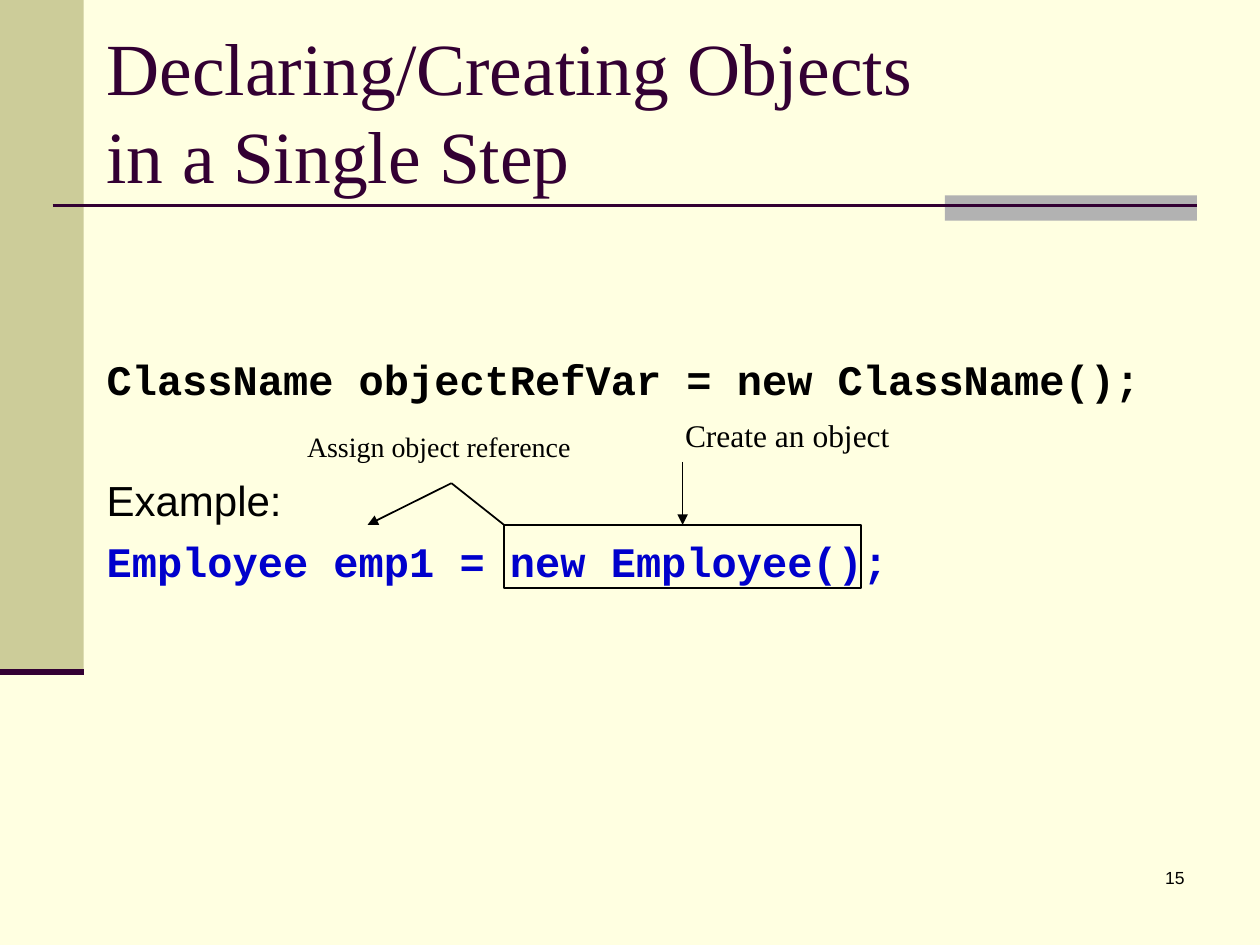
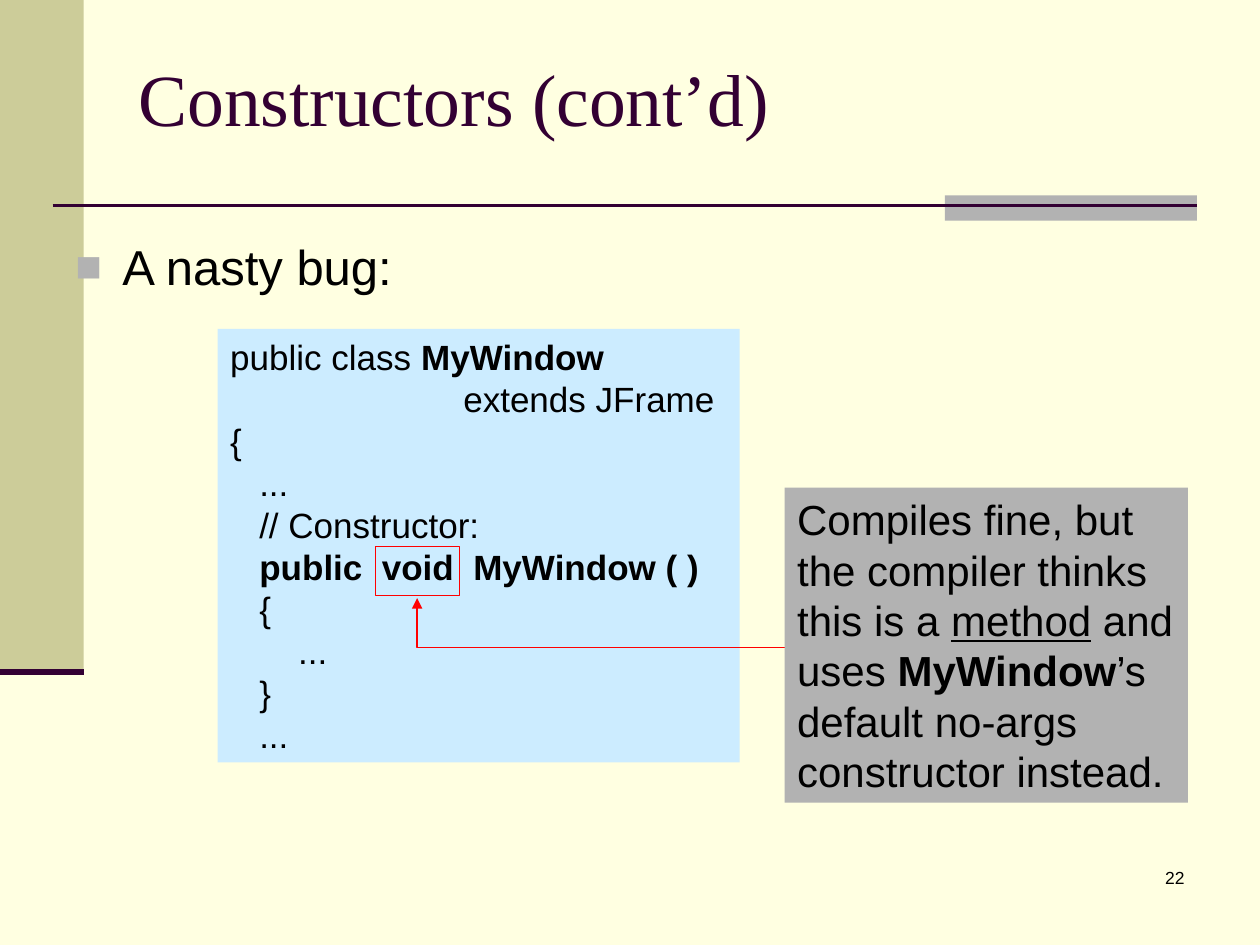
import pptx
import pptx.dml.color
import pptx.enum.shapes
import pptx.enum.text
import pptx.oxml
import pptx.oxml.ns
import pptx.util
from lxml import etree

Cm, Pt = pptx.util.Cm, pptx.util.Pt
SHAPE = pptx.enum.shapes.MSO_SHAPE
ALIGN = pptx.enum.text.PP_ALIGN
ANCHOR = pptx.enum.text.MSO_ANCHOR
qn = pptx.oxml.ns.qn

SANS, SERIF, MONO = "Arial", "Times New Roman", "Courier New"
CREAM, KHAKI, GREY, PLUM = "FFFFE1", "CCCC99", "B2B2B2", "330033"
BLACK, BLUE, RED, SKY = "000000", "0000CC", "FF0000", "CCECFF"
LEADING = 1.2
HANG = 0.95


def rgb(value):
    return pptx.dml.color.RGBColor.from_string(value)


class Deck:
    """Holds the shared style and the slide being built."""

    def __init__(self):
        self.prs = pptx.Presentation()
        self.prs.slide_width, self.prs.slide_height = Cm(25.4), Cm(19.05)

    def slide(self, title, title_box, number):
        self.s = self.prs.slides.add_slide(self.prs.slide_layouts[6])
        fill = self.s.background.fill
        fill.solid()
        fill.fore_color.rgb = rgb(CREAM)
        # Side band, title rule and accent
        self.rect(0, 0, 1.69, 13.55, fill=KHAKI)
        self.rect(19.05, 3.94, 5.08, 0.51, fill=GREY)
        self.line((1.06, 4.14), (24.13, 4.14), PLUM, 1.5)
        self.line((0, 13.55), (1.69, 13.55), PLUM, 3.5)
        # Slide number and title
        tf = self.box(18.85, 17.36, 5.28, 1.27)
        self.para(tf, str(number), 10, align=ALIGN.RIGHT)
        tf = self.box(*title_box)
        tf.vertical_anchor = ANCHOR.MIDDLE
        self.para(tf, title, 42, SERIF, PLUM)

    def outline(self, sp, color, width, arrow=False):
        sp.line.color.rgb = rgb(color)
        sp.line.width = Pt(width)
        if arrow:
            ln = sp._element.spPr.find(qn("a:ln"))
            etree.SubElement(ln, qn("a:tailEnd"), type="triangle")

    def rect(self, x, y, w, h, fill=None, line=None, width=1):
        sp = self.s.shapes.add_shape(SHAPE.RECTANGLE, Cm(x), Cm(y), Cm(w), Cm(h))
        sp.shadow.inherit = False
        if fill:
            sp.fill.solid()
            sp.fill.fore_color.rgb = rgb(fill)
        else:
            sp.fill.background()
        if line:
            self.outline(sp, line, width)
        else:
            sp.line.fill.background()
        tf = sp.text_frame
        tf.word_wrap = True
        tf.vertical_anchor = ANCHOR.TOP
        return tf

    def line(self, start, end, color=BLACK, width=1, arrow=False):
        straight = pptx.enum.shapes.MSO_CONNECTOR.STRAIGHT
        ends = [Cm(v) for v in (*start, *end)]
        sp = self.s.shapes.add_connector(straight, *ends)
        self.outline(sp, color, width, arrow)
        etree.SubElement(sp._element.spPr, qn("a:effectLst"))

    def bent_arrow(self, points, color, width):
        start, *rest = [(Cm(x), Cm(y)) for x, y in points]
        builder = self.s.shapes.build_freeform(*start)
        builder.add_line_segments(rest, close=False)
        sp = builder.convert_to_shape()
        sp.shadow.inherit = False
        sp.fill.background()
        self.outline(sp, color, width, arrow=True)

    def box(self, x, y, w, h):
        tf = self.s.shapes.add_textbox(Cm(x), Cm(y), Cm(w), Cm(h)).text_frame
        tf.word_wrap = True
        return tf

    def para(self, tf, text, size, font=SANS, color=BLACK, bold=False,
             align=ALIGN.LEFT, before=0, leading=None, bullet=None):
        """Add a paragraph; text is a string or a list of (text, marks)."""
        p = tf.paragraphs[0]
        if p.runs:
            p = tf.add_paragraph()
        if bullet:
            self.bullet(p, bullet)
        p.alignment = align
        p.line_spacing = Pt(leading or size * LEADING)
        if before:
            p.space_before = Pt(before)
        if isinstance(text, str):
            p.text = text
            marks = [""] * len(p.runs)
        else:
            for part, mark in text:
                p.add_run().text = part
            marks = [mark for part, mark in text]
        for r, mark in zip(p.runs, marks):
            r.font.name, r.font.size = font, Pt(size)
            r.font.color.rgb = rgb(color)
            r.font.bold = bold or "b" in mark
            r.font.underline = "u" in mark

    def bullet(self, p, char):
        pPr = p._p.get_or_add_pPr()
        pPr.set("marL", str(Cm(HANG)))
        pPr.set("indent", str(-Cm(HANG)))
        color = etree.SubElement(pPr, qn("a:buClr"))
        etree.SubElement(color, qn("a:srgbClr"), val=GREY)
        etree.SubElement(pPr, qn("a:buSzPct"), val="90000")
        etree.SubElement(pPr, qn("a:buFont"), typeface=SANS)
        etree.SubElement(pPr, qn("a:buChar"), char=char)


def single_step(d):
    d.slide("Declaring/Creating Objects\vin a Single Step",
            (1.9, 0, 21.59, 4.45), 15)
    # Syntax and example
    tf = d.box(1.9, 6.98, 23.5, 7.2)
    d.para(tf, "ClassName objectRefVar = new ClassName();", 24, MONO,
           bold=True, leading=29.5)
    d.para(tf, "Example:", 24, before=40.5)
    d.para(tf, "Employee emp1 = new Employee();", 24, MONO, BLUE, bold=True,
           before=5, leading=29.5)
    # Object creation
    d.rect(10.16, 10.58, 7.2, 1.27, line=BLACK)
    d.line((13.76, 9.31), (13.76, 10.58), arrow=True)
    tf = d.box(13.56, 8.26, 5.2, 1.02)
    d.para(tf, "Create an object", 18, SERIF)
    # Reference assignment
    knee = (9.1, 9.74)
    d.line((10.16, 10.58), knee)
    d.line(knee, (7.41, 10.58), arrow=True)
    tf = d.box(5.94, 8.26, 6.4, 1.27)
    d.para(tf, "Assign object reference", 16, SERIF, leading=27)


def constructors(d):
    d.slide("Constructors (cont’d)", (2.54, 0.76, 21.59, 2.41), 22)
    tf = d.box(1.27, 4.65, 22.86, 1.5)
    d.para(tf, "A nasty bug:", 28, bullet="■")
    # Code panel
    code = [
        [("public class ", ""), ("MyWindow", "b")],
        "                        extends JFrame",
        "{",
        "   ...",
        "   // Constructor:",
        [("   ", ""), ("public  void  MyWindow ( )", "b")],
        "   {",
        "       ...",
        "   }",
        "   ...",
    ]
    tf = d.rect(4.39, 6.63, 10.52, 8.74, fill=SKY)
    for row in code:
        d.para(tf, row, 20)
    # Marked keyword and its explanation
    d.rect(7.57, 11.02, 1.7, 0.99, line=RED, width=0.75)
    d.bent_arrow([(16.05, 13.06), (8.41, 13.06), (8.41, 12.06)], RED, 0.75)
    tf = d.rect(15.82, 9.83, 8.13, 6.35, fill=GREY)
    d.para(tf, [("Compiles fine, but the compiler thinks this is a ", ""),
                ("method", "u"), (" and uses ", ""), ("MyWindow", "b"),
                ("’s default no-args constructor instead.", "")], 24)


def main():
    d = Deck()
    single_step(d)
    constructors(d)
    d.prs.save("out.pptx")


if __name__ == "__main__":
    main()
